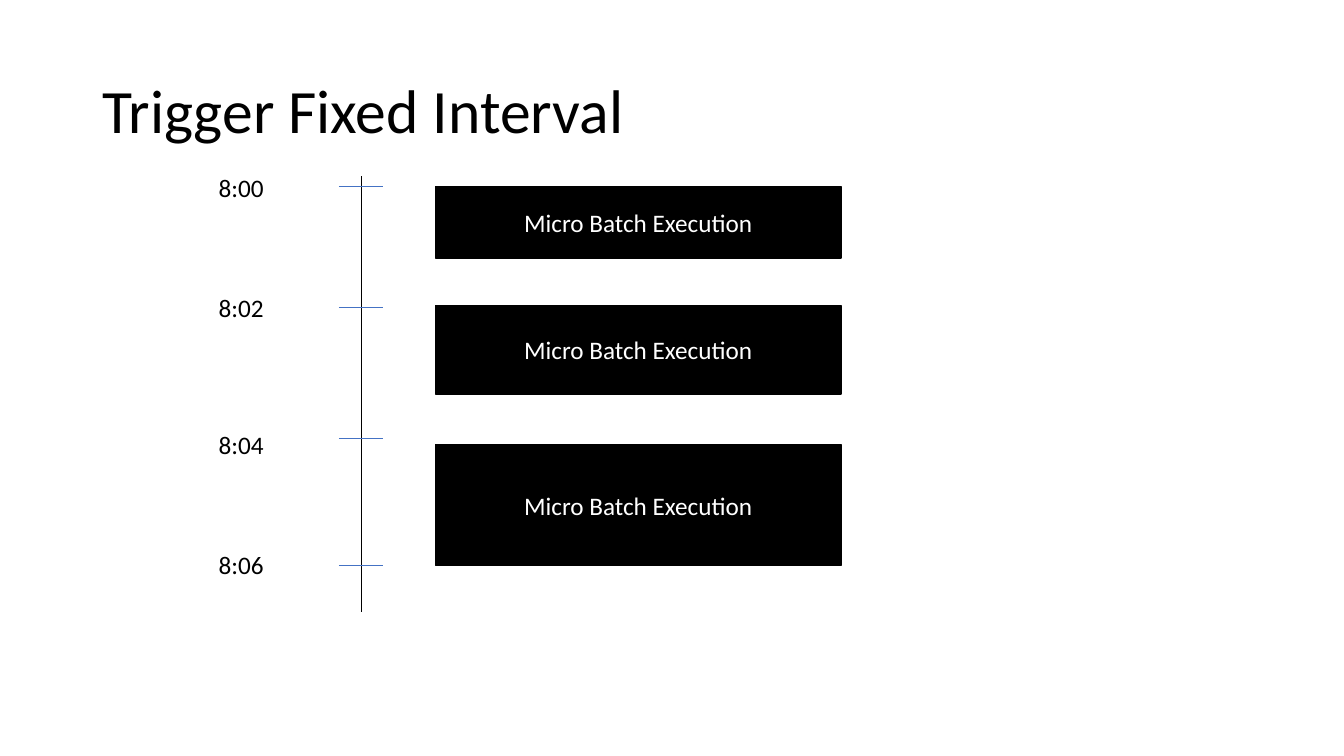
import pptx
import pptx.dml.color
import pptx.enum.shapes
import pptx.enum.text
import pptx.oxml.ns
import pptx.util
from pptx.util import Inches
from lxml import etree

BLACK, WHITE, BLUE = "000000", "FFFFFF", "4472C4"
ALIGN = pptx.enum.text.PP_ALIGN
ANCHOR = pptx.enum.text.MSO_ANCHOR

# time, top of its label, height of its tick
TIMES = [("8:00", 1.66, 1.85), ("8:02", 2.85, 3.05),
         ("8:04", 4.21, 4.35), ("8:06", 5.4, 5.61)]
# top and height of each execution
BATCHES = [(1.85, 0.71), (3.03, 0.88), (4.41, 1.2)]


def color(value):
    return pptx.dml.color.RGBColor.from_string(value)


def write(shape, text, size, text_color, align, anchor):
    frame = shape.text_frame
    frame.vertical_anchor = anchor
    paragraph = frame.paragraphs[0]
    paragraph.alignment = align
    run = paragraph.add_run()
    run.text = text
    run.font.name = "Calibri"
    run.font.size = pptx.util.Pt(size)
    run.font.color.rgb = color(text_color)
    return paragraph


def add_title(slide, text):
    box = slide.shapes.add_textbox(Inches(0.92), Inches(0.4), Inches(11.5), Inches(1.45))
    box.text_frame.word_wrap = True
    paragraph = write(box, text, 44, BLACK, ALIGN.LEFT, ANCHOR.MIDDLE)
    paragraph.line_spacing = 0.9


def add_time_label(slide, text, top):
    box = slide.shapes.add_textbox(Inches(2.07), Inches(top), Inches(0.65), Inches(0.4))
    box.text_frame.word_wrap = False
    box.text_frame.auto_size = pptx.enum.text.MSO_AUTO_SIZE.SHAPE_TO_FIT_TEXT
    write(box, text, 18, BLACK, ALIGN.LEFT, ANCHOR.TOP)


def add_line(slide, x1, y1, x2, y2, line_color):
    line = slide.shapes.add_connector(
        pptx.enum.shapes.MSO_CONNECTOR.STRAIGHT,
        Inches(x1), Inches(y1), Inches(x2), Inches(y2))
    line.line.color.rgb = color(line_color)
    line.line.width = pptx.util.Pt(0.5)
    properties = line.element.find(pptx.oxml.ns.qn("p:spPr"))
    etree.SubElement(properties, pptx.oxml.ns.qn("a:effectLst"))


def add_batch(slide, top, height):
    bar = slide.shapes.add_shape(
        pptx.enum.shapes.MSO_SHAPE.RECTANGLE,
        Inches(4.32), Inches(top), Inches(4.02), Inches(height))
    bar.shadow.inherit = False
    bar.fill.solid()
    bar.fill.fore_color.rgb = color(BLACK)
    bar.line.color.rgb = color(BLACK)
    bar.line.width = pptx.util.Pt(1)
    write(bar, "Micro Batch Execution", 18, WHITE, ALIGN.CENTER, ANCHOR.MIDDLE)


def main():
    presentation = pptx.Presentation()
    presentation.slide_width = Inches(13.33)
    presentation.slide_height = Inches(7.5)
    slide = presentation.slides.add_slide(presentation.slide_layouts[6])

    add_title(slide, "Trigger Fixed Interval")

    # Time axis with its ticks
    add_line(slide, 3.58, 1.75, 3.58, 6.07, BLACK)
    for time, label_top, tick in TIMES:
        add_time_label(slide, time, label_top)
        add_line(slide, 3.36, tick, 3.8, tick, BLUE)

    # Executions
    for top, height in BATCHES:
        add_batch(slide, top, height)

    presentation.save("out.pptx")


if __name__ == "__main__":
    main()
